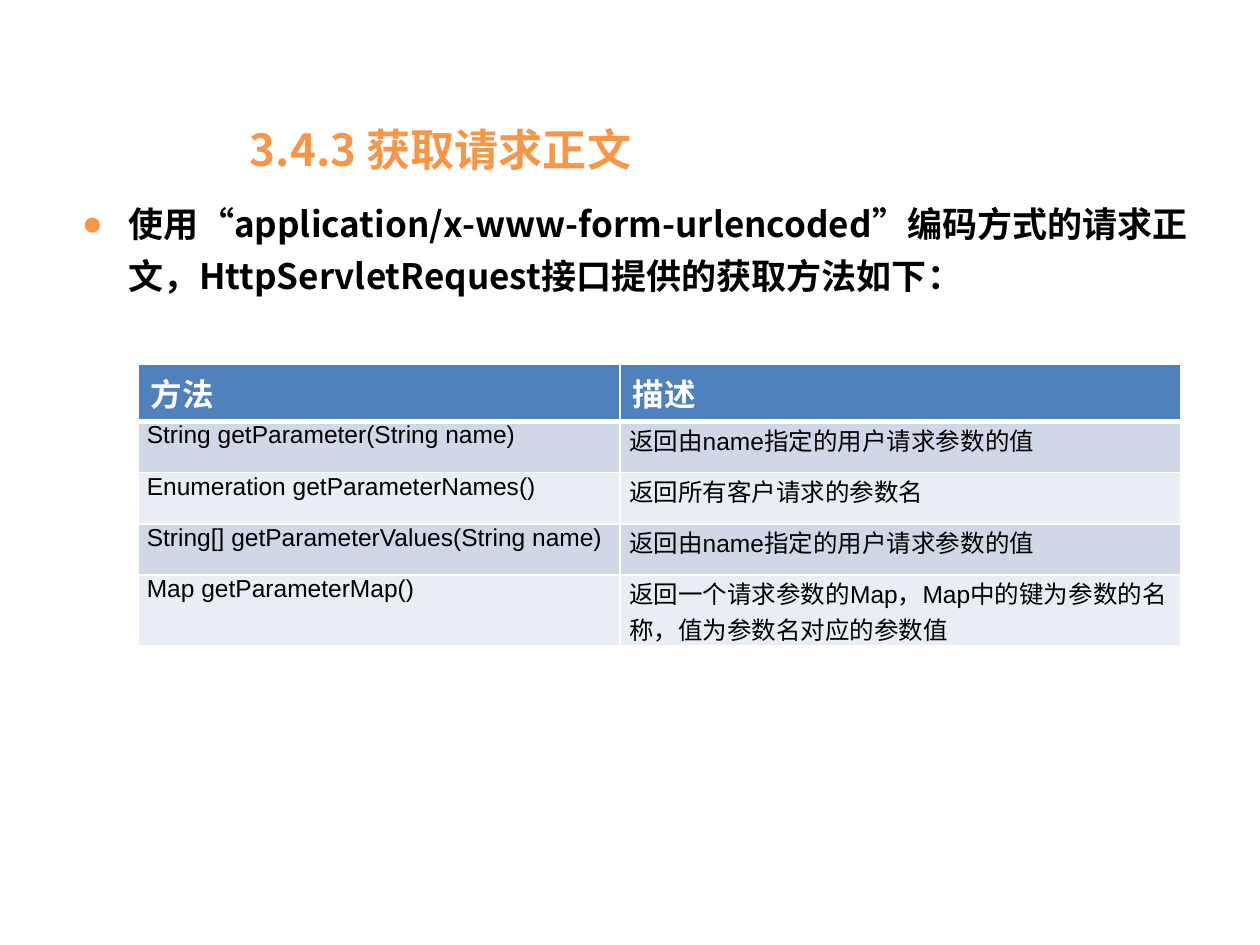
from lxml.etree import SubElement
from pptx import Presentation
from pptx.dml.color import RGBColor
from pptx.enum.text import MSO_ANCHOR, PP_ALIGN
from pptx.oxml.ns import qn
from pptx.util import Cm, Pt

ORANGE, BLACK, WHITE = "F79646", "000000", "FFFFFF"
HEADER_FILL, BAND_FILLS = "4F81BD", ("D0D8E8", "E9EDF4")
CJK_FONT = "Noto Sans CJK SC"


def color(value):
    return RGBColor.from_string(value)


def write(paragraph, text, font_format, font_color):
    """Add one run with its Latin and East Asian fonts."""
    run = paragraph.add_run()
    run.text = text
    for name, value in font_format.items():
        setattr(run.font, name, value)
    run.font.color.rgb = color(font_color)
    SubElement(run.font._element, qn("a:ea"), typeface=CJK_FONT)


presentation = Presentation()
presentation.slide_width, presentation.slide_height = Cm(25.4), Cm(19.05)
slide = presentation.slides.add_slide(presentation.slide_layouts[6])

# Bulleted introduction
body = slide.shapes.add_textbox(Cm(1.4), Cm(3.76), Cm(22.81), Cm(11.4))
body.text_frame.word_wrap = True
paragraph = body.text_frame.paragraphs[0]
properties = paragraph._p.get_or_add_pPr()
properties.set("marL", str(Cm(0.95)))
properties.set("indent", str(Cm(-0.95)))
bullet_color = SubElement(properties, qn("a:buClr"))
SubElement(bullet_color, qn("a:srgbClr"), val=ORANGE)
SubElement(properties, qn("a:buFont"), typeface="Arial")
SubElement(properties, qn("a:buChar"), char="●")
paragraph.line_spacing = 1.24
write(
    paragraph,
    "使用“application/x-www-form-urlencoded”编码方式的请求正文，"
    "HttpServletRequest接口提供的获取方法如下：",
    {"name": CJK_FONT, "size": Pt(20), "bold": True},
    BLACK,
)

# Title
title = slide.shapes.add_textbox(Cm(1.3), Cm(2.44), Cm(15.16), Cm(1.14))
title.text_frame.word_wrap = True
title.text_frame.vertical_anchor = MSO_ANCHOR.MIDDLE
paragraph = title.text_frame.paragraphs[0]
paragraph.alignment = PP_ALIGN.CENTER
write(paragraph, "3.4.3 获取请求正文",
      {"name": CJK_FONT, "size": Pt(25.2), "bold": True}, ORANGE)

# Method table
rows = [
    ("方法", "描述"),
    ("String getParameter(String name)", "返回由name指定的用户请求参数的值"),
    ("Enumeration getParameterNames()", "返回所有客户请求的参数名"),
    ("String[] getParameterValues(String name)", "返回由name指定的用户请求参数的值"),
    ("Map getParameterMap()",
     "返回一个请求参数的Map，Map中的键为参数的名称，值为参数名对应的参数值"),
]
column_widths = (Cm(9.72), Cm(11.31))
row_heights = [Cm(1.16)] + [Cm(1.03)] * 3 + [Cm(1.43)]
header_format = {"name": "Calibri", "size": Pt(18), "bold": True}
method_format = {"name": "Arial", "size": Pt(14), "bold": False}
method_margins = {"margin_left": Cm(0.18), "margin_right": Cm(0.18),
                  "margin_top": 0, "margin_bottom": 0}

table = slide.shapes.add_table(
    len(rows), len(column_widths), Cm(2.78), Cm(7.34),
    sum(column_widths), sum(row_heights)).table
for column, width in zip(table.columns, column_widths):
    column.width = width
for row_index, (texts, height) in enumerate(zip(rows, row_heights)):
    table.rows[row_index].height = height
    is_header = row_index == 0
    for column_index, text in enumerate(texts):
        cell = table.cell(row_index, column_index)
        if not is_header:
            for name, value in method_margins.items():
                setattr(cell, name, value)
        write(cell.text_frame.paragraphs[0], text,
              header_format if is_header else method_format,
              WHITE if is_header else BLACK)
        for side in ("L", "R", "T", "B"):
            thick = (is_header and side == "B") or (row_index == 1 and side == "T")
            border = SubElement(cell._tc.get_or_add_tcPr(), qn(f"a:ln{side}"),
                                w=str(Pt(3 if thick else 1)))
            SubElement(SubElement(border, qn("a:solidFill")), qn("a:srgbClr"), val=WHITE)
        cell.fill.solid()
        cell.fill.fore_color.rgb = color(
            HEADER_FILL if is_header else BAND_FILLS[(row_index - 1) % 2])

presentation.save("out.pptx")
